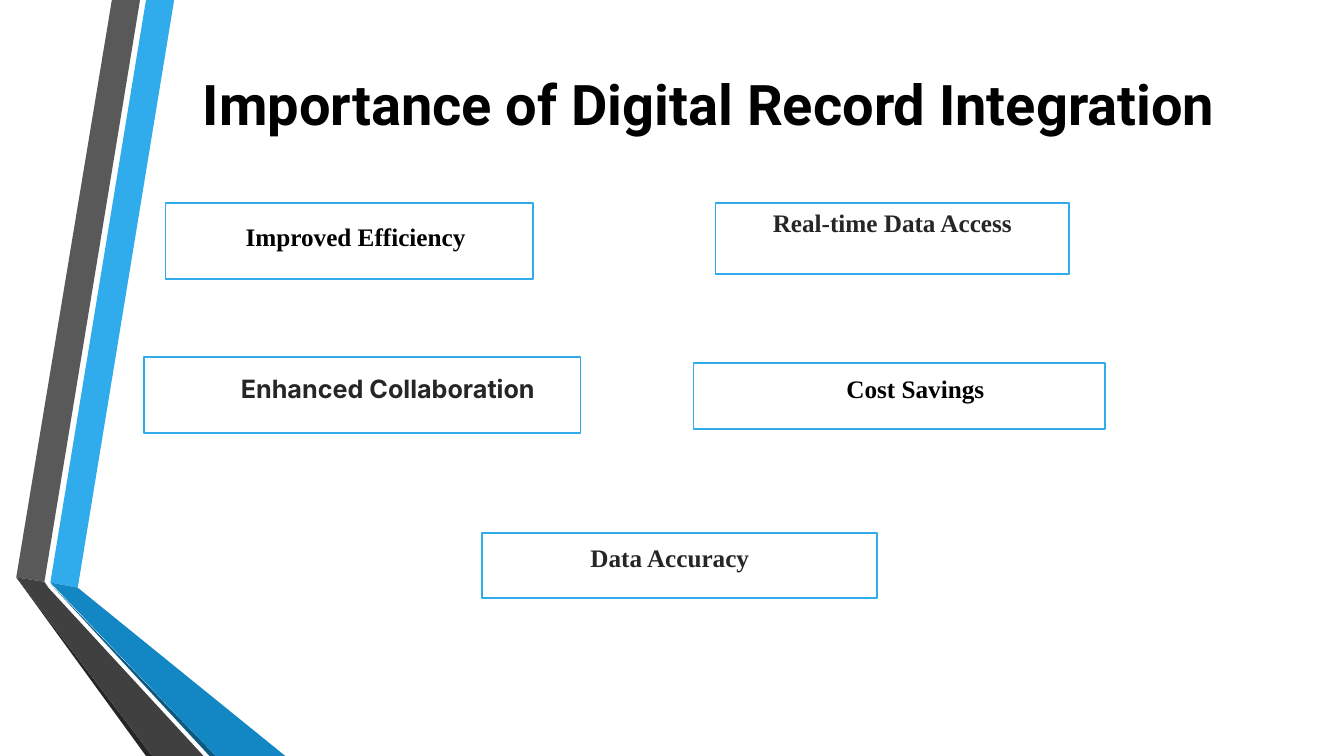
"""Build the slide on the importance of digital record integration."""
from pptx import Presentation
from pptx.dml.color import RGBColor
from pptx.enum.shapes import MSO_SHAPE
from pptx.enum.text import MSO_ANCHOR, PP_ALIGN
from pptx.util import Cm, Pt

RECT = MSO_SHAPE.RECTANGLE
TOP, MIDDLE = MSO_ANCHOR.TOP, MSO_ANCHOR.MIDDLE
LEFT, CENTER = PP_ALIGN.LEFT, PP_ALIGN.CENTER
BLUE, BLACK, INK, WHITE = "30ACEC", "000000", "272525", "FFFFFF"
SERIF = "Times New Roman"


def rgb(value):
    return RGBColor.from_string(value)


def set_text(sp, text, font, size, color, align, anchor):
    tf = sp.text_frame
    tf.word_wrap = True
    tf.vertical_anchor = anchor
    p = tf.paragraphs[0]
    p.text = text
    p.alignment = align
    p.font.name = font
    p.font.size = Pt(size)
    p.font.bold = True
    p.font.color.rgb = rgb(color)


prs = Presentation()
prs.slide_width, prs.slide_height = Cm(33.87), Cm(19.05)
s = prs.slides.add_slide(prs.slide_layouts[5])

ribbons = [
    (BLUE, [(1.27, 14.68), (1.96, 14.81), (4.39, 0), (3.68, 0)]),
    ("595959", [(3.53, 0), (2.82, 0), (0.41, 14.55), (1.12, 14.66)]),
    ("262626", [(0.41, 14.55), (3.68, 19.05), (3.84, 19.05)]),
    ("0C5A82", [(1.27, 14.71), (5.28, 19.05), (5.44, 19.05)]),
    ("1287C3", [(1.27, 14.68), (5.44, 19.05), (7.19, 19.05), (1.96, 14.81)]),
    ("404040", [(5.13, 19.05), (1.22, 14.81), (1.12, 14.66), (0.41, 14.55),
                (3.84, 19.05)]),
]
for color, points in ribbons:
    corners = [(Cm(x), Cm(y)) for x, y in points]
    builder = s.shapes.build_freeform(*corners[0])
    builder.add_line_segments(corners[1:], close=True)
    sp = builder.convert_to_shape()
    sp.shadow.inherit = False
    sp.fill.solid()
    sp.fill.fore_color.rgb = rgb(color)
    sp.line.fill.background()

frames = [
    (17.48, 9.14, 10.36, 1.68),
    (3.63, 8.99, 11, 1.93),
    (12.14, 13.44, 9.96, 1.63),
    (4.17, 5.11, 9.27, 1.93),
    (18.03, 5.11, 8.92, 1.8),
]
for frame in frames:
    sp = s.shapes.add_shape(RECT, *map(Cm, frame))
    sp.shadow.inherit = False
    sp.fill.solid()
    sp.fill.fore_color.rgb = rgb(WHITE)
    sp.line.color.rgb = rgb(BLUE)
    sp.line.width = Pt(1.25)
set_text(sp, "Real-time Data Access", SERIF, 18, INK, CENTER, TOP)

labels = [
    ("Improved Efficiency", SERIF, BLACK, 1.52, (4.67, 5.44, 9.27, 1.02)),
    ("Enhanced Collaboration", "Inter", INK, 0.25, (5.82, 9.27, 11, 1.8)),
    ("Cost Savings", SERIF, BLACK, 2.79, (18.54, 9.27, 10.36, 1.02)),
    ("Data Accuracy", SERIF, INK, 0.25, (14.63, 13.54, 8.66, 1.8)),
]
for text, font, color, indent, box in labels:
    sp = s.shapes.add_textbox(*map(Cm, box))
    sp.text_frame.margin_left = Cm(indent)
    set_text(sp, text, font, 18, color, LEFT, TOP)

title = s.shapes.title
title.left, title.top, title.width, title.height = map(Cm, (3.94, 0.97, 27.84, 3.28))
set_text(title, "Importance of Digital Record Integration", "Roboto", 40, BLACK,
         CENTER, MIDDLE)

prs.save("out.pptx")
